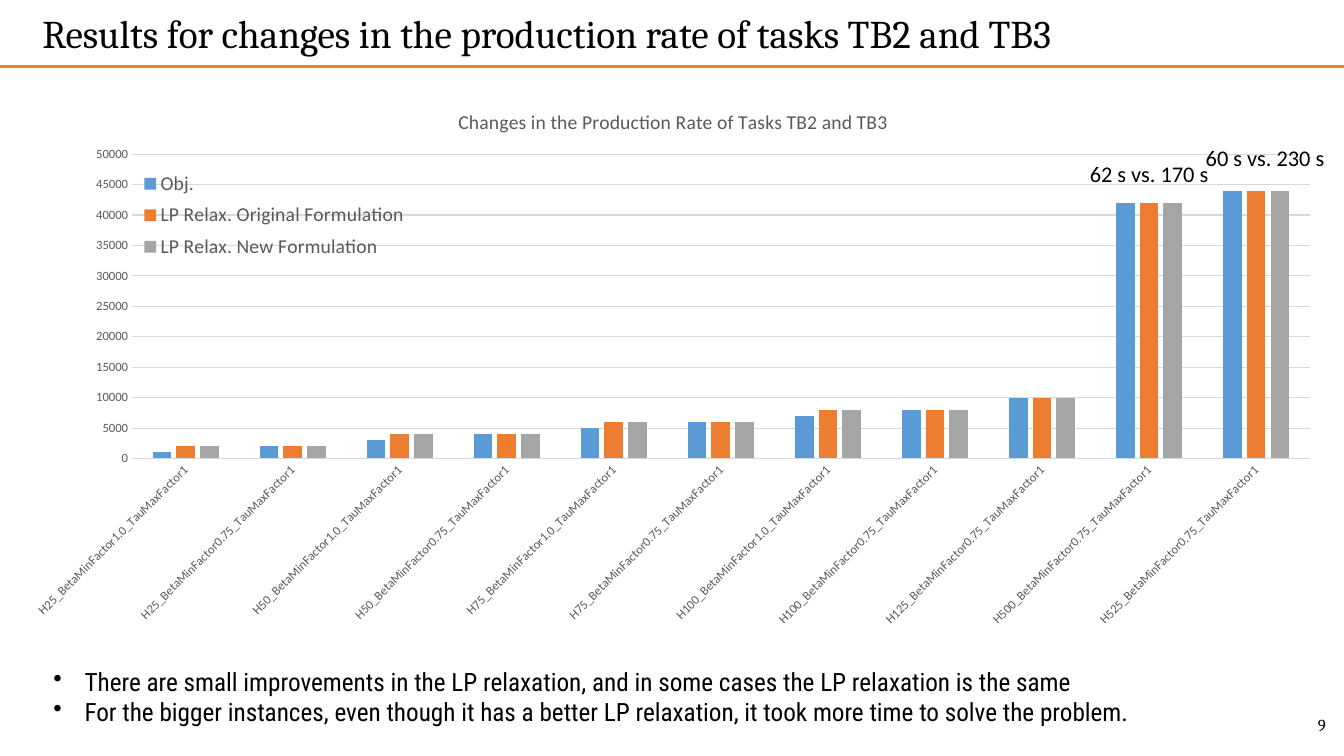
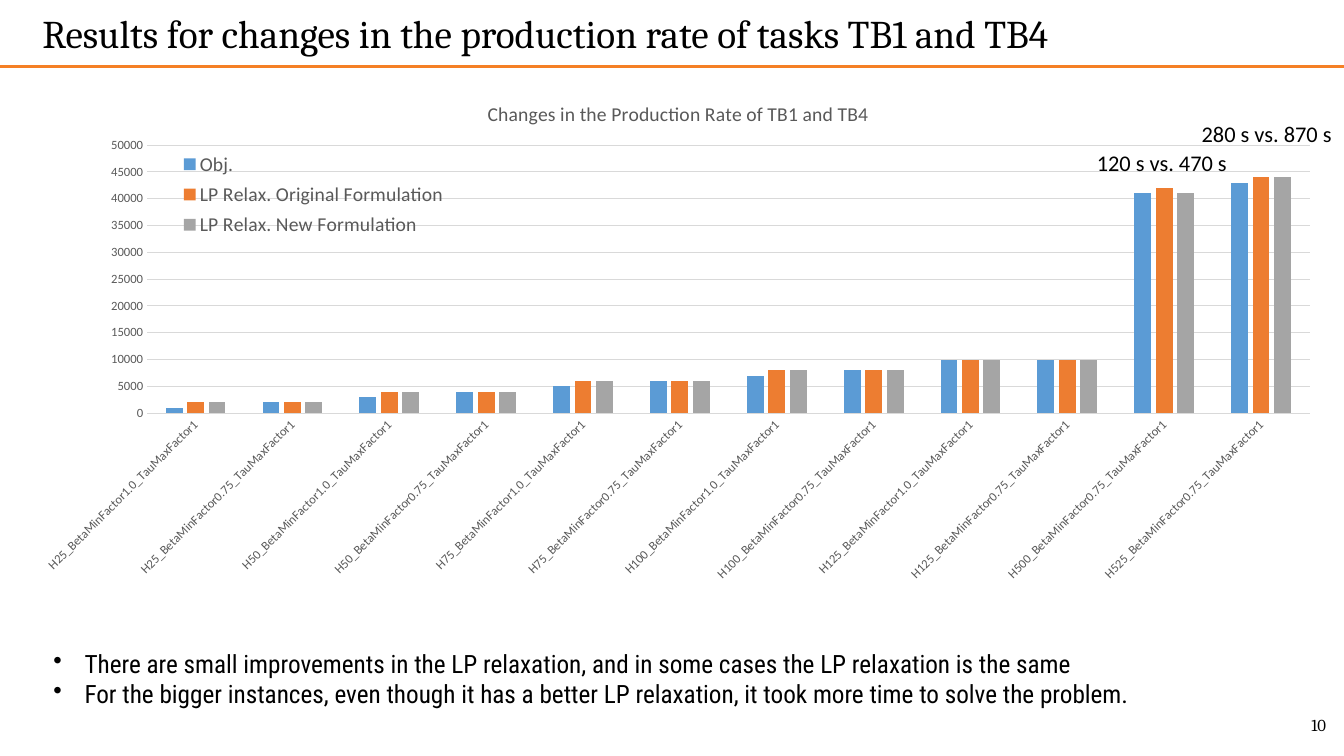
from lxml import etree
from pptx import Presentation
from pptx import util as u
from pptx.chart.data import CategoryChartData
from pptx.dml.color import RGBColor
from pptx.enum import chart as charts, shapes, text
from pptx.oxml import ns

BLACK, GREY, PALE, ORANGE = "000000", "595959", "D9D9D9", "F58025"
SERIES = [
    ("Obj.", "5B9BD5"),
    ("LP Relax. Original Formulation", "ED7D31"),
    ("LP Relax. New Formulation", "A5A5A5"),
]
POINTS = [
    "There are small improvements in the LP relaxation, and in some cases the LP relaxation is the same",
    "For the bigger instances, even though it has a better LP relaxation, "
    "it took more time to solve the problem.",
]
SLIDES = [
    dict(
        page=9,
        title="Results for changes in the production rate of tasks TB2 and TB3",
        head="Changes in the Production Rate of Tasks TB2 and TB3",
        cases=["25 1.0", "25 0.75", "50 1.0", "50 0.75", "75 1.0", "75 0.75",
               "100 1.0", "100 0.75", "125 0.75", "500 0.75", "525 0.75"],
        values=[
            [1, 2, 3, 4, 5, 6, 7, 8, 10, 42, 44],
            [2, 2, 4, 4, 6, 6, 8, 8, 10, 42, 44],
            [2, 2, 4, 4, 6, 6, 8, 8, 10, 42, 44],
        ],
        frame=(0.08, 0.81, 13.17, 5.92),
        plot=(1.31, 1.53, 11.68, 3.02),
        legend=(1.32, 1.63, 2.8, 1.01),
        head_at=(4.51, 1.04),
        points_top=6.56,
        times=[("62 s vs. 170 s", 10.71, 1.54, 1.39),
               ("60 s vs. 230 s", 11.86, 1.38, 1.39)],
    ),
    dict(
        page=10,
        title="Results for changes in the production rate of tasks TB1 and TB4",
        head="Changes in the Production Rate of TB1 and TB4",
        cases=["25 1.0", "25 0.75", "50 1.0", "50 0.75", "75 1.0", "75 0.75",
               "100 1.0", "100 0.75", "125 1.0", "125 0.75", "500 0.75", "525 0.75"],
        values=[
            [1, 2, 3, 4, 5, 6, 7, 8, 10, 10, 41, 43],
            [2, 2, 4, 4, 6, 6, 8, 8, 10, 10, 42, 44],
            [2, 2, 4, 4, 6, 6, 8, 8, 10, 10, 41, 44],
        ],
        frame=(0.19, 0.74, 13.06, 5.53),
        plot=(1.46, 1.44, 11.53, 2.66),
        legend=(1.71, 1.45, 2.8, 0.96),
        head_at=(4.8, 0.96),
        points_top=6.38,
        times=[("120 s vs. 470 s", 10.78, 1.43, 1.51),
               ("280 s vs. 870 s", 11.82, 1.14, 1.51)],
    ),
]


def rgb(code):
    return RGBColor.from_string(code)


def style(font, size, name="Calibri", color=BLACK):
    font.size, font.name = u.Pt(size), name
    font.color.rgb = rgb(color)


def stroke(line, color, width):
    line.color.rgb = rgb(color)
    line.width = u.Pt(width)


def write(slide, box, lines, size, name, wrap=True, grow=True):
    """Add a text box with one paragraph per line and return its frame."""
    frame = slide.shapes.add_textbox(*map(u.Inches, box)).text_frame
    frame.word_wrap = wrap
    if grow:
        frame.auto_size = text.MSO_AUTO_SIZE.SHAPE_TO_FIT_TEXT
    frame.text = "\n".join(lines)
    for para in frame.paragraphs:
        style(para.font, size, name)
    return frame


def bullet(para):
    props = para._p.get_or_add_pPr()
    props.set("marL", str(u.Inches(0.31)))
    props.set("indent", str(-u.Inches(0.31)))
    mark = etree.Element(ns.qn("a:buChar"), char="•")
    props.insert(0, mark)


def rule(slide):
    line = slide.shapes.add_connector(
        shapes.MSO_CONNECTOR.STRAIGHT,
        u.Inches(-0.02), u.Inches(0.66), u.Inches(13.33), u.Inches(0.66))
    stroke(line.line, ORANGE, 2)
    etree.SubElement(line._element.spPr, ns.qn("a:effectLst"))


def header(slide, title, page):
    rule(slide)
    frame = write(slide, (0.42, 0.14, 10.55, 0.42), [title], 28, "Cambria")
    frame.margin_left = frame.margin_right = 0
    frame.margin_top = frame.margin_bottom = 0
    frame.vertical_anchor = text.MSO_ANCHOR.MIDDLE
    frame.paragraphs[0].line_spacing = 0.9
    frame = write(slide, (12.35, 6.99, 0.9, 0.4), [str(page)], 12, "Cambria", grow=False)
    frame.vertical_anchor = text.MSO_ANCHOR.MIDDLE
    frame.paragraphs[0].alignment = text.PP_ALIGN.RIGHT


def place(part, index, box, outer, inner=False):
    """Fix a chart part at a slide position, as fractions of the chart frame."""
    for old in part.findall(ns.qn("c:layout")):
        part.remove(old)
    layout = etree.Element(ns.qn("c:layout"))
    manual = etree.SubElement(layout, ns.qn("c:manualLayout"))
    left, top, width, height = outer
    shares = [(box[0] - left) / width, (box[1] - top) / height]
    if len(box) == 4:
        shares += [box[2] / width, box[3] / height]
    pairs = [("layoutTarget", "inner")] if inner else []
    pairs += [("xMode", "edge"), ("yMode", "edge")]
    pairs += zip("xywh", (f"{share:.4f}" for share in shares))
    for tag, val in pairs:
        etree.SubElement(manual, ns.qn("c:" + tag), val=val)
    part.insert(index, layout)


def axes(chart):
    cat, val = chart.category_axis, chart.value_axis
    for axis in (cat, val):
        axis.major_tick_mark = axis.minor_tick_mark = charts.XL_TICK_MARK.NONE
        style(axis.tick_labels.font, 9, color=GREY)
    stroke(cat.format.line, PALE, 0.75)
    cat._element.find(ns.qn("c:txPr")).find(ns.qn("a:bodyPr")).set("rot", "-2700000")
    val.minimum_scale, val.maximum_scale, val.major_unit = 0, 50000, 5000
    val.format.line.fill.background()
    stroke(val.major_gridlines.format.line, PALE, 0.75)


def columns(slide, item):
    data = CategoryChartData(number_format="General")
    for case in item["cases"]:
        span, beta = case.split()
        data.add_category(f"H{span}_BetaMinFactor{beta}_TauMaxFactor1")
    for (name, _), row in zip(SERIES, item["values"]):
        data.add_series(name, [1000 * val for val in row])
    outer = item["frame"]
    chart = slide.shapes.add_chart(
        charts.XL_CHART_TYPE.COLUMN_CLUSTERED, *map(u.Inches, outer), data).chart
    style(chart.font, 10)
    plot = chart.plots[0]
    plot.gap_width, plot.overlap, plot.vary_by_categories = 219, -27, False
    for series, (_, color) in zip(plot.series, SERIES):
        series.format.fill.solid()
        series.format.fill.fore_color.rgb = rgb(color)
    axes(chart)

    chart.has_title = True
    head = chart.chart_title.text_frame
    head.text = item["head"]
    style(head.paragraphs[0].font, 14, color=GREY)
    head.paragraphs[0].font.bold = False
    chart.has_legend = True
    chart.legend.position = charts.XL_LEGEND_POSITION.BOTTOM
    chart.legend.include_in_layout = False
    style(chart.legend.font, 14, color=GREY)

    place(chart.chart_title._element, 1, item["head_at"], outer)
    place(chart.legend._element, 1, item["legend"], outer)
    area = chart._chartSpace.find(ns.qn("c:chart")).find(ns.qn("c:plotArea"))
    place(area, 0, item["plot"], outer, inner=True)


def build(deck, item):
    slide = deck.slides.add_slide(deck.slide_layouts[6])
    header(slide, item["title"], item["page"])
    columns(slide, item)
    box = (0.43, item["points_top"], 12.35, 0.71)
    for para in write(slide, box, POINTS, 18, "Roboto Condensed").paragraphs:
        bullet(para)
    for label, left, top, width in item["times"]:
        write(slide, (left, top, width, 0.37), [label], 16, "Calibri", wrap=False)


def main():
    deck = Presentation()
    deck.slide_width, deck.slide_height = u.Inches(13.33), u.Inches(7.5)
    for item in SLIDES:
        build(deck, item)
    deck.save("out.pptx")


if __name__ == "__main__":
    main()
